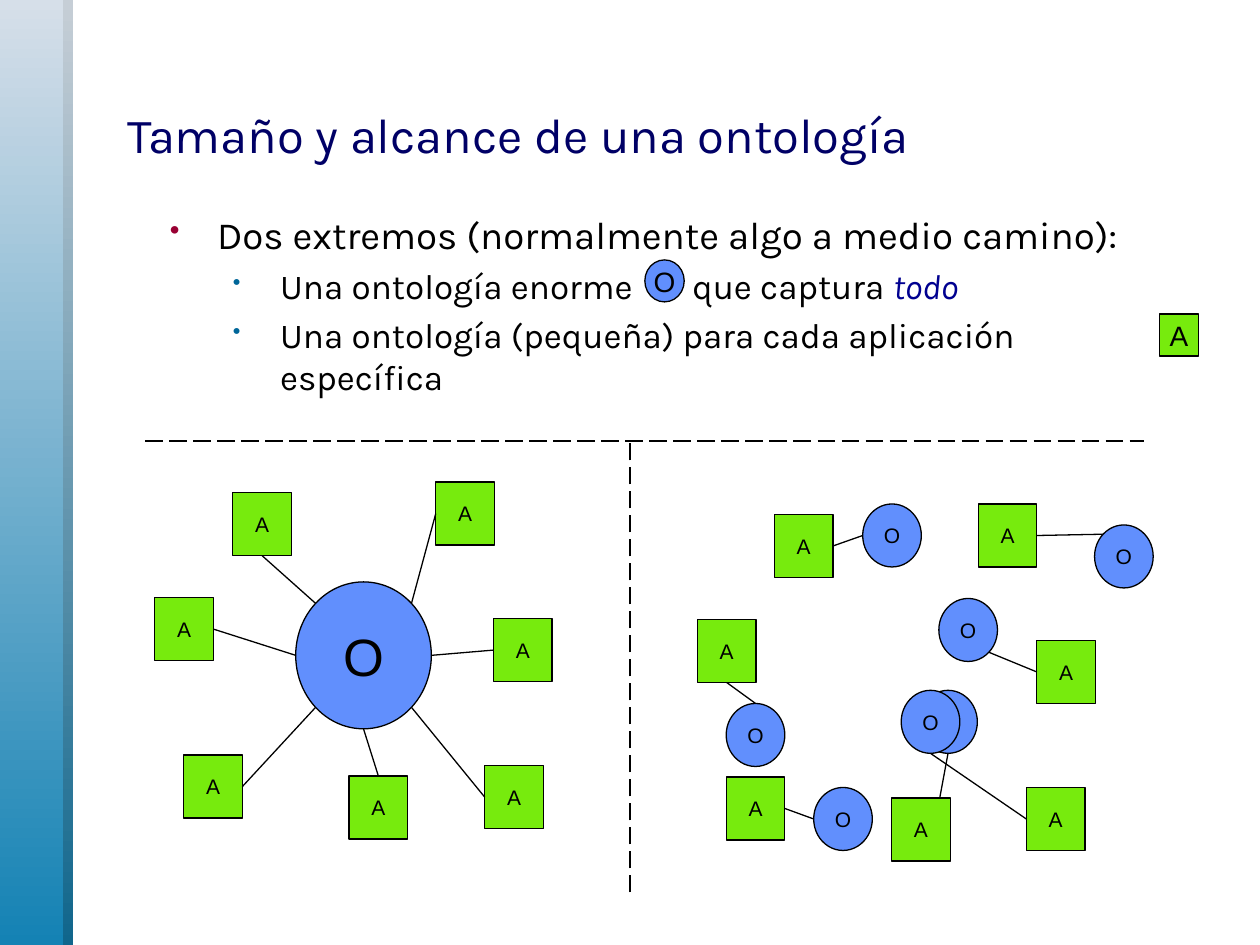
from math import cos, radians, sin

from lxml.etree import SubElement
from pptx import Presentation
from pptx.dml.color import RGBColor
from pptx.enum.dml import MSO_LINE
from pptx.enum.shapes import MSO_CONNECTOR, MSO_SHAPE
from pptx.enum.text import MSO_ANCHOR, PP_ALIGN
from pptx.oxml.ns import qn
from pptx.util import Pt

BLACK = RGBColor(0x00, 0x00, 0x00)
NAVY = RGBColor(0x00, 0x00, 0x66)
EMPHASIS = RGBColor(0x00, 0x00, 0x90)
CRIMSON = RGBColor(0x99, 0x00, 0x33)
TEAL = RGBColor(0x00, 0x66, 0x99)
ONTOLOGY_BLUE = RGBColor(0x61, 0x8F, 0xFD)
APP_GREEN = RGBColor(0x77, 0xEB, 0x0D)
STRIPE_TOP = RGBColor(0xD6, 0xDF, 0xE9)
STRIPE_BOTTOM = RGBColor(0x14, 0x82, 0xB4)
EDGE_TOP = RGBColor(0xC6, 0xCE, 0xD6)
EDGE_BOTTOM = RGBColor(0x10, 0x66, 0x8C)

NODE_SIZE = (33.5, 36)
TOP, LEFT, BOTTOM, RIGHT = range(4)

HUB_APPS = [
    (16.5, 156, RIGHT, 135),
    (188.5, 162, LEFT, 45),
    (0, 66, RIGHT, 180),
    (160.5, 0, LEFT, 315),
    (111, 168, TOP, 90),
    (44.5, 6, BOTTOM, 225),
    (193.5, 78, LEFT, 0),
]
PAIRS = [
    ((44, 6), RIGHT, (94.5, 0), 180),
    ((160.5, 0), RIGHT, (227, 12), 225),
    ((194, 78), LEFT, (138, 54), 45),
    ((111, 168), None, (126.5, 106.5), 90),
    ((16.5, 156), RIGHT, (66.5, 162), 180),
    ((0, 66), BOTTOM, (16.5, 114), 270),
    ((188, 162), LEFT, (116.5, 106.5), 90),
]


def points(values):
    return [Pt(value) for value in values]


def add_node(page, kind, fill, label, size, box):
    node = page.shapes.add_shape(kind, *points(box))
    node.shadow.inherit = False
    node.fill.solid()
    node.fill.fore_color.rgb = fill
    node.line.color.rgb = BLACK
    node.line.width = Pt(0.75)
    frame = node.text_frame
    frame.word_wrap = False
    frame.vertical_anchor = MSO_ANCHOR.MIDDLE
    para = frame.paragraphs[0]
    para.text = label
    para.alignment = PP_ALIGN.CENTER
    para.font.name = "Arial"
    para.font.size = Pt(size)
    para.font.color.rgb = BLACK
    return node


def add_ontology(page, box, size=12):
    return add_node(page, MSO_SHAPE.OVAL, ONTOLOGY_BLUE, "O", size, box)


def add_app(page, box, size=12):
    return add_node(page, MSO_SHAPE.RECTANGLE, APP_GREEN, "A", size, box)


def add_line(page, start, end, width=0.75):
    line = page.shapes.add_connector(MSO_CONNECTOR.STRAIGHT, *points((*start, *end)))
    line.line.color.rgb = BLACK
    line.line.width = Pt(width)
    SubElement(line._element.spPr, qn("a:effectLst"))
    return line


def rim_point(box, angle):
    left, top, width, height = box
    turn = radians(angle)
    return left + width / 2 * (1 + cos(turn)), top + height / 2 * (1 + sin(turn))


def add_sidebar(page, box):
    left, top, width, height = box
    stripes = [(6, EDGE_TOP, EDGE_BOTTOM), (0, STRIPE_TOP, STRIPE_BOTTOM)]
    for offset, *colors in stripes:
        stripe = page.shapes.add_shape(
            MSO_SHAPE.RECTANGLE, *points((left + offset, top, width, height)))
        stripe.shadow.inherit = False
        stripe.line.fill.background()
        stripe.fill.gradient()
        stripe.fill.gradient_angle = 270
        for stop, color in zip(stripe.fill.gradient_stops, colors):
            stop.color.rgb = color


def add_title(page, box):
    frame = page.shapes.add_textbox(*points(box)).text_frame
    frame.word_wrap = True
    frame.vertical_anchor = MSO_ANCHOR.MIDDLE
    para = frame.paragraphs[0]
    para.text = "Tamaño y alcance de una ontología"
    para.font.name = "Karla"
    para.font.size = Pt(28)
    para.font.color.rgb = NAVY


def set_bullet(para, margin, color, percent):
    settings = para._p.get_or_add_pPr()
    settings.set("marL", str(Pt(margin)))
    settings.set("indent", str(Pt(-27)))
    bullet_color = SubElement(settings, qn("a:buClr"))
    SubElement(bullet_color, qn("a:srgbClr"), val=str(color))
    SubElement(settings, qn("a:buSzPct"), val=str(percent * 1000))
    SubElement(settings, qn("a:buChar"), char="•")


def add_body(page, box):
    left, top, width, height = box
    frame = page.shapes.add_textbox(*points(box)).text_frame
    frame.word_wrap = True
    items = [
        (0, ["Dos extremos (normalmente algo a medio camino):"]),
        (1, ["Una ontología enorme", " ", "que captura ", "todo"]),
        (1, ["Una ontología (pequeña) para cada aplicación específica"]),
    ]
    levels = [(27, CRIMSON, 75, 22, 0), (63, TEAL, 65, 20, 4)]
    for index, (level, texts) in enumerate(items):
        para = frame.add_paragraph() if index else frame.paragraphs[0]
        margin, color, percent, size, before = levels[level]
        para.level = level
        set_bullet(para, margin, color, percent)
        para.space_before = Pt(before)
        para.font.name = "Karla"
        para.font.size = Pt(size)
        para.font.color.rgb = BLACK
        for text in texts:
            span = para.add_run()
            span.text = text
            if text == " ":
                span._r.get_or_add_rPr().set("spc", "2900")
            elif text == "todo":
                span.font.italic = True
                span.font.color.rgb = EMPHASIS
    add_ontology(page, (left + 278.5, top + 31.5, 22.5, 24), 16)
    add_app(page, (left + 572.5, top + 62.5, 22.5, 24), 16)


def add_dividers(page, box):
    left, top, width, height = box
    middle = left + 277
    ends = [((middle, top + height), (middle, top)),
            ((left, top), (left + width, top))]
    for start, end in ends:
        add_line(page, start, end, 1.25).line.dash_style = MSO_LINE.LONG_DASH


def add_shared_ontology(page, box):
    left, top, width, height = box
    hub = (left + 80.5, top + 57, 77.5, 84)
    add_ontology(page, hub, 30)
    for across, down, side, angle in HUB_APPS:
        app = add_app(page, (left + across, top + down, *NODE_SIZE))
        rim = rim_point(hub, angle)
        add_line(page, rim, rim).begin_connect(app, side)


def add_separate_ontologies(page, box):
    left, top, width, height = box
    for (app_x, app_y), side, (across, down), angle in PAIRS:
        app = add_app(page, (left + app_x, top + app_y, *NODE_SIZE))
        circle = (left + across, top + down, *NODE_SIZE)
        start = (left + app_x + 27.5, top + app_y)
        line = add_line(page, start, rim_point(circle, angle))
        if side is not None:
            line.begin_connect(app, side)
        add_ontology(page, circle)


def main():
    deck = Presentation()
    deck.slide_width, deck.slide_height = Pt(720), Pt(540)
    page = deck.slides.add_slide(deck.slide_layouts[6])
    add_sidebar(page, (0, 0, 36, 540))
    add_title(page, (66, 55.5, 606, 42))
    add_body(page, (90, 117, 582, 380))
    add_shared_ontology(page, (88.5, 275.5, 227, 204))
    add_separate_ontologies(page, (398.5, 288, 260.5, 204))
    add_dividers(page, (83, 252, 571, 258))
    deck.save("out.pptx")


if __name__ == "__main__":
    main()
